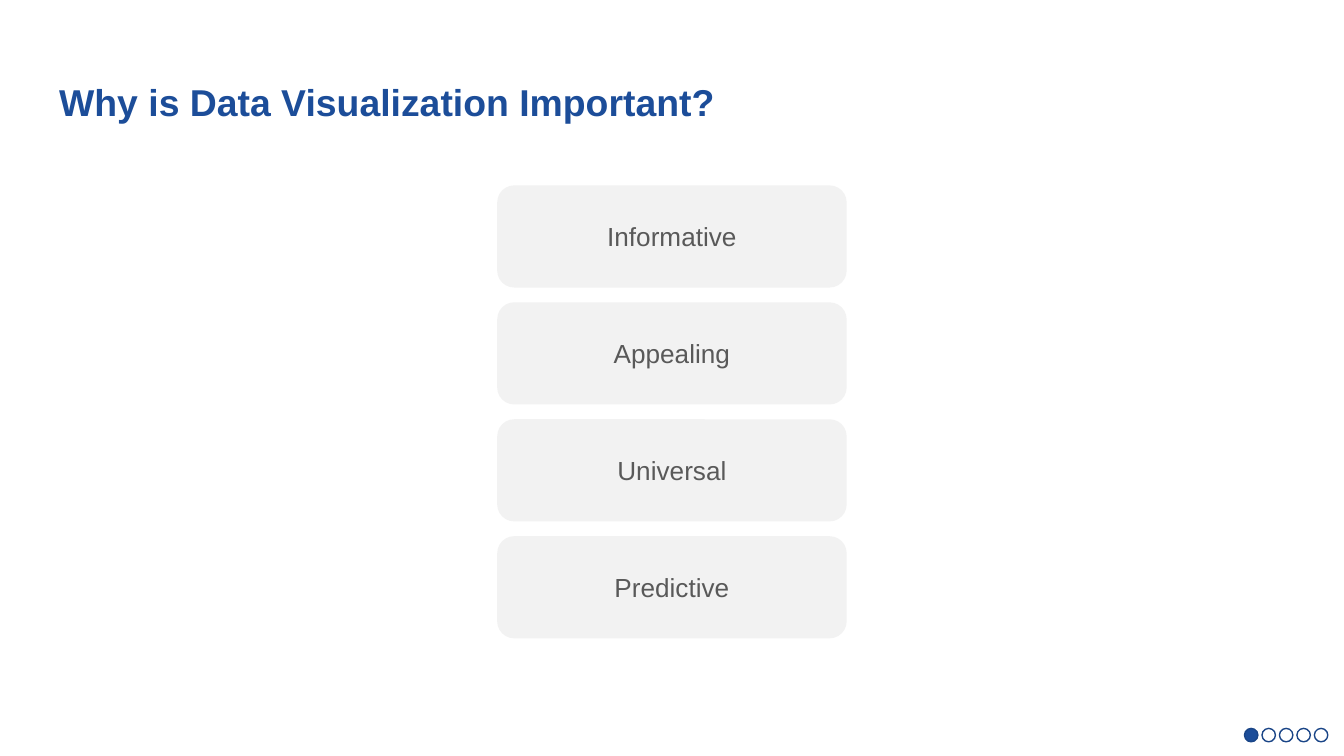
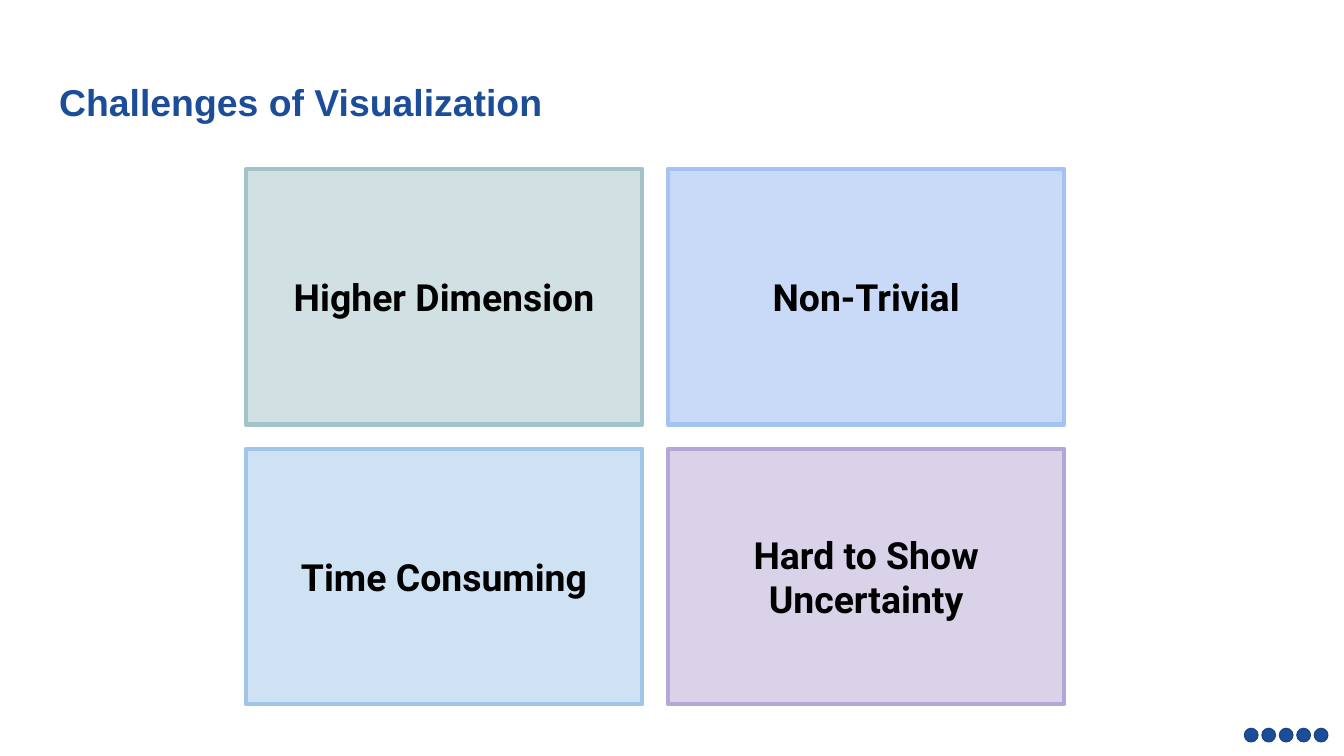
from pptx import Presentation
from pptx.dml.color import RGBColor as Rgb
from pptx.enum.shapes import MSO_SHAPE as Shape
from pptx.enum.text import MSO_ANCHOR as Anchor, MSO_AUTO_SIZE as Fit, PP_ALIGN as Align
from pptx.util import Inches, Pt

COLORS = {
    "title": "1C4D99", "ring": "1A4587", "card": "F2F2F2", "gray": "595959",
    "black": "000000", "white": "FFFFFF",
    "teal": "D0E0E3", "teal_edge": "A2C4C9",
    "blue": "C9DAF8", "blue_edge": "A4C2F4",
    "sky": "CFE2F3", "sky_edge": "9FC5E8",
    "violet": "D9D2E9", "violet_edge": "B4A7D6",
}
DOTS = 5


def color(name):
    return Rgb.from_string(COLORS[name])


def write(frame, text, font="Arial", size=20, ink="black", bold=False,
          align=Align.CENTER, anchor=Anchor.MIDDLE, pad=0.1):
    frame.word_wrap = True
    frame.auto_size = Fit.NONE
    frame.vertical_anchor = anchor
    frame.margin_left = frame.margin_right = Inches(0.1)
    frame.margin_top = frame.margin_bottom = Inches(pad)
    para = frame.paragraphs[0]
    para.alignment = align
    run = para.add_run()
    run.text = text
    run.font.name = font
    run.font.size = Pt(size)
    run.font.bold = bold
    run.font.color.rgb = color(ink)


class Deck:
    def __init__(self):
        self.prs = Presentation()
        self.prs.slide_width = Inches(10)
        self.prs.slide_height = Inches(10) * 9 // 16
        self.slide = None

    def start(self, title, done):
        """Add a titled slide with the first `done` progress dots filled."""
        self.slide = self.prs.slides.add_slide(self.prs.slide_layouts[5])
        back = self.slide.background.fill
        back.solid()
        back.fore_color.rgb = color("white")
        head = self.slide.shapes.title
        head.left, head.top = Inches(0.34), Inches(0.49)
        head.width, head.height = Inches(9.32), Inches(0.63)
        write(head.text_frame, title, ink="title", bold=True,
              align=Align.LEFT, anchor=Anchor.TOP)
        for i in range(DOTS):
            self.shape(Shape.OVAL, 9.26 + 0.13 * i, 5.42, 0.1, 0.1,
                       fill="title" if i < done else None,
                       edge="ring", weight=0.75)

    def shape(self, kind, x, y, w, h, fill=None, edge=None, weight=1):
        item = self.slide.shapes.add_shape(
            kind, Inches(x), Inches(y), Inches(w), Inches(h))
        item.shadow.inherit = False
        if fill:
            item.fill.solid()
            item.fill.fore_color.rgb = color(fill)
        else:
            item.fill.background()
        if edge:
            item.line.color.rgb = color(edge)
            item.line.width = Pt(weight)
        else:
            item.line.fill.background()
        return item

    def card(self, text, y):
        item = self.shape(Shape.ROUNDED_RECTANGLE, 3.7, y, 2.6, 0.76, fill="card")
        write(item.text_frame, text, size=14, ink="gray", pad=0.05)

    def tile(self, text, x, y, tint):
        item = self.shape(Shape.RECTANGLE, x, y, 2.95, 1.9,
                          fill=tint, edge=tint + "_edge", weight=2.25)
        write(item.text_frame, text, font="Roboto", bold=True)


def main():
    deck = Deck()

    deck.start("Why is Data Visualization Important?", done=1)
    merits = ["Informative", "Appealing", "Universal", "Predictive"]
    for i, merit in enumerate(merits):
        deck.card(merit, 1.38 + 0.87 * i)

    deck.start("Challenges of Visualization", done=DOTS)
    issues = [("Higher Dimension", "teal"), ("Non-Trivial", "blue"),
              ("Time Consuming", "sky"), ("Hard to Show Uncertainty", "violet")]
    for i, (issue, tint) in enumerate(issues):
        row, col = divmod(i, 2)
        deck.tile(issue, 1.83 + 3.14 * col, 1.26 + 2.08 * row, tint)

    deck.prs.save("out.pptx")


if __name__ == "__main__":
    main()
